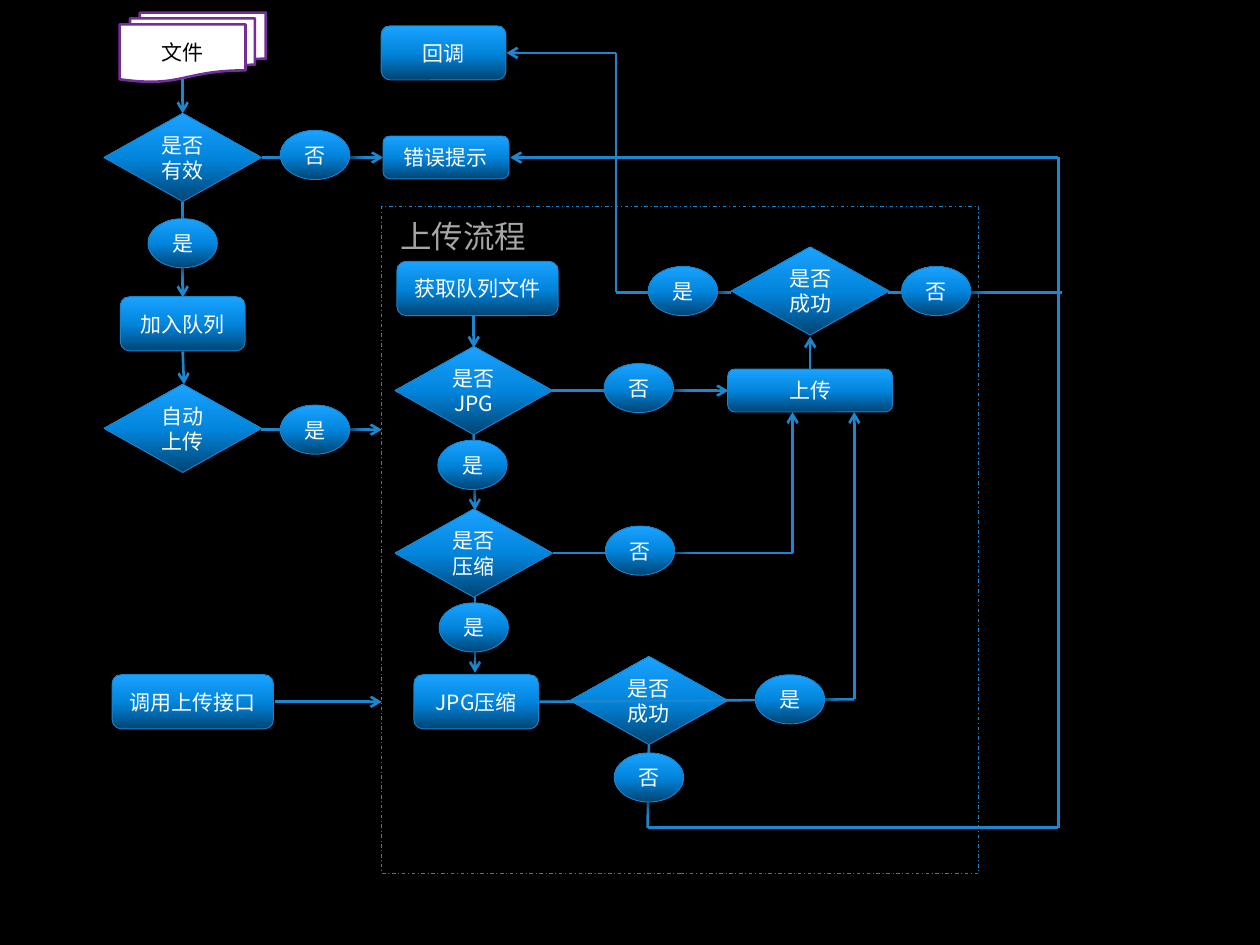
from copy import deepcopy
from pptx import Presentation
from pptx.dml.color import RGBColor
from pptx.enum.dml import MSO_LINE as Dash
from pptx.enum.shapes import MSO_CONNECTOR as Link, MSO_SHAPE as Kind
from pptx.enum.text import MSO_ANCHOR as Anchor, MSO_AUTO_SIZE as Fit, PP_ALIGN as Align
from pptx.oxml import parse_xml
from pptx.oxml.ns import nsdecls, qn
from pptx.util import Cm, Pt

BLACK = RGBColor(0, 0, 0)
WHITE = RGBColor(255, 255, 255)
GREY = RGBColor(0xA6, 0xA6, 0xA6)
PURPLE = RGBColor(0x73, 0x2E, 0x9A)
EDGE = RGBColor(0x18, 0x84, 0xCD)
WIRE = RGBColor(0x1D, 0x86, 0xCD)
BLEND = [(0, RGBColor(0x01, 0x45, 0x73)), (0.5, RGBColor(0x02, 0x85, 0xDD)),
         (1, RGBColor(0x1A, 0xA3, 0xFF))]
SHADE = ('<a:outerShdw %s blurRad="88900" dist="50800" dir="2100000" rotWithShape="0">'
         '<a:srgbClr val="000000"><a:alpha val="55000"/></a:srgbClr></a:outerShdw>')


def size(*inches):
    return [Cm(n * 2.54) for n in inches]


def write(frame, text, points=12, color=WHITE, align=Align.CENTER, font="Noto Sans CJK JP"):
    para = frame.paragraphs[0]
    para.alignment = align
    run = para.add_run()
    run.text = text
    run.font.size = Pt(points)
    run.font.name = font
    run.font.color.rgb = color
    east = run.font._element.makeelement(qn("a:ea"), {"typeface": font})
    run.font._element.find(qn("a:latin")).addnext(east)


class Flow:
    def __init__(self, slide):
        self.slide = slide
        self.shapes = slide.shapes

    def form(self, kind, x, y, w, h, edge=EDGE, width=0.5):
        shape = self.shapes.add_shape(kind, *size(x, y, w, h))
        shape.shadow.inherit = False
        shape.line.color.rgb = edge
        shape.line.width = Pt(width)
        shape.text_frame.word_wrap = True
        shape.text_frame.vertical_anchor = Anchor.MIDDLE
        return shape

    def node(self, kind, text, x, y, w, h):
        shape = self.form(kind, x - w / 2, y - h / 2, w, h)
        fill = shape.fill
        fill.gradient()
        fill.gradient_angle = 90
        props = shape._element.spPr
        stops = props.find(qn("a:gradFill")).find(qn("a:gsLst"))
        stops.append(deepcopy(stops[-1]))
        for stop, (place, color) in zip(fill.gradient_stops, BLEND):
            stop.position = place
            stop.color.rgb = color
        props.find(qn("a:effectLst")).append(parse_xml(SHADE % nsdecls("a")))
        write(shape.text_frame, text)

    def box(self, text, x, y, w=0.99, h=0.43):
        self.node(Kind.ROUNDED_RECTANGLE, text, x, y, w, h)

    def test(self, text, x, y):
        self.node(Kind.FLOWCHART_DECISION, text, x, y, 1.25, 0.7)

    def oval(self, text, x, y):
        self.node(Kind.OVAL, text, x, y, 0.55, 0.39)

    def files(self, text, x, y, w, h):
        shape = self.form(Kind.FLOWCHART_MULTIDOCUMENT, x, y, w, h, PURPLE, 1.5)
        shape.fill.solid()
        shape.fill.fore_color.rgb = WHITE
        write(shape.text_frame, text, color=BLACK)

    def frame(self, x, y, w, h):
        shape = self.form(Kind.RECTANGLE, x, y, w, h)
        shape.fill.background()
        shape.line.dash_style = Dash.DASH_DOT

    def label(self, text, x, y, w, h):
        frame = self.shapes.add_textbox(*size(x, y, w, h)).text_frame
        frame.word_wrap = False
        frame.auto_size = Fit.SHAPE_TO_FIT_TEXT
        write(frame, text, points=18, color=GREY, align=Align.LEFT)

    def route(self, *points, arrow=True):
        for start, end in zip(points, points[1:]):
            line = self.shapes.add_connector(Link.STRAIGHT, *size(*start, *end))
            line.line.color.rgb = WIRE
            line.line.width = Pt(1.5)
            props = line._element.spPr
            props.append(props.makeelement(qn("a:effectLst"), {}))
            if arrow and end == points[-1]:
                stroke = line.line._get_or_add_ln()
                stroke.append(stroke.makeelement(qn("a:tailEnd"), {"type": "arrow"}))


deck = Presentation()
deck.slide_width, deck.slide_height = size(10, 7.5)
slide = deck.slides.add_slide(deck.slide_layouts[6])
slide.background.fill.solid()
slide.background.fill.fore_color.rgb = BLACK
flow = Flow(slide)

flow.frame(3.03, 1.64, 4.74, 5.29)
flow.label("上传流程", 3.08, 1.67, 1.21, 0.4)
flow.files("文件", 0.95, 0.1, 1.16, 0.55)

for text, x, y in [("是否有效", 1.45, 1.25), ("自动上传", 1.45, 3.4),
                   ("是否JPG", 3.76, 3.1), ("是否压缩", 3.76, 4.39),
                   ("是否成功", 5.15, 5.56), ("是否成功", 6.43, 2.31)]:
    flow.test(text, x, y)

for text, x, y in [("加入队列", 1.45, 2.57), ("JPG压缩", 3.78, 5.57), ("回调", 3.52, 0.42)]:
    flow.box(text, x, y)
flow.box("获取队列文件", 3.79, 2.29, w=1.28)
flow.box("调用上传接口", 1.53, 5.57, w=1.28)
flow.box("错误提示", 3.54, 1.25, w=1, h=0.34)
flow.box("上传", 6.43, 3.1, w=1.31, h=0.34)

for points in [
    [(1.45, 0.63), (1.45, 0.9)],
    [(1.45, 1.6), (1.45, 2.36)],
    [(1.45, 2.79), (1.46, 3.05)],
    [(2.08, 1.25), (3.04, 1.25)],
    [(2.07, 3.41), (3.03, 3.41)],
    [(2.18, 5.57), (3.03, 5.57)],
    [(3.76, 2.5), (3.76, 2.76)],
    [(3.76, 3.45), (3.77, 4.05)],
    [(3.77, 4.74), (3.77, 5.34)],
    [(4.38, 3.1), (5.78, 3.1)],
    [(6.43, 2.93), (6.43, 2.67)],
    [(4.39, 4.39), (6.29, 4.39), (6.29, 3.27)],
    [(4.28, 5.57), (6.78, 5.55), (6.78, 3.27)],
    [(5.15, 5.91), (5.14, 6.57), (8.4, 6.57), (8.4, 1.25), (4.05, 1.25)],
    [(5.8, 2.32), (4.89, 2.32), (4.89, 0.42), (4.02, 0.42)],
]:
    flow.route(*points)
flow.route((7.05, 2.32), (8.43, 2.32), arrow=False)

answers = {
    "是": [(1.45, 1.93), (2.5, 3.41), (3.75, 3.69), (3.76, 4.98), (6.27, 5.55), (5.42, 2.31)],
    "否": [(2.5, 1.23), (5.07, 3.08), (5.08, 4.37), (5.15, 6.17), (7.43, 2.31)],
}
for text, places in answers.items():
    for x, y in places:
        flow.oval(text, x, y)

deck.save("out.pptx")
